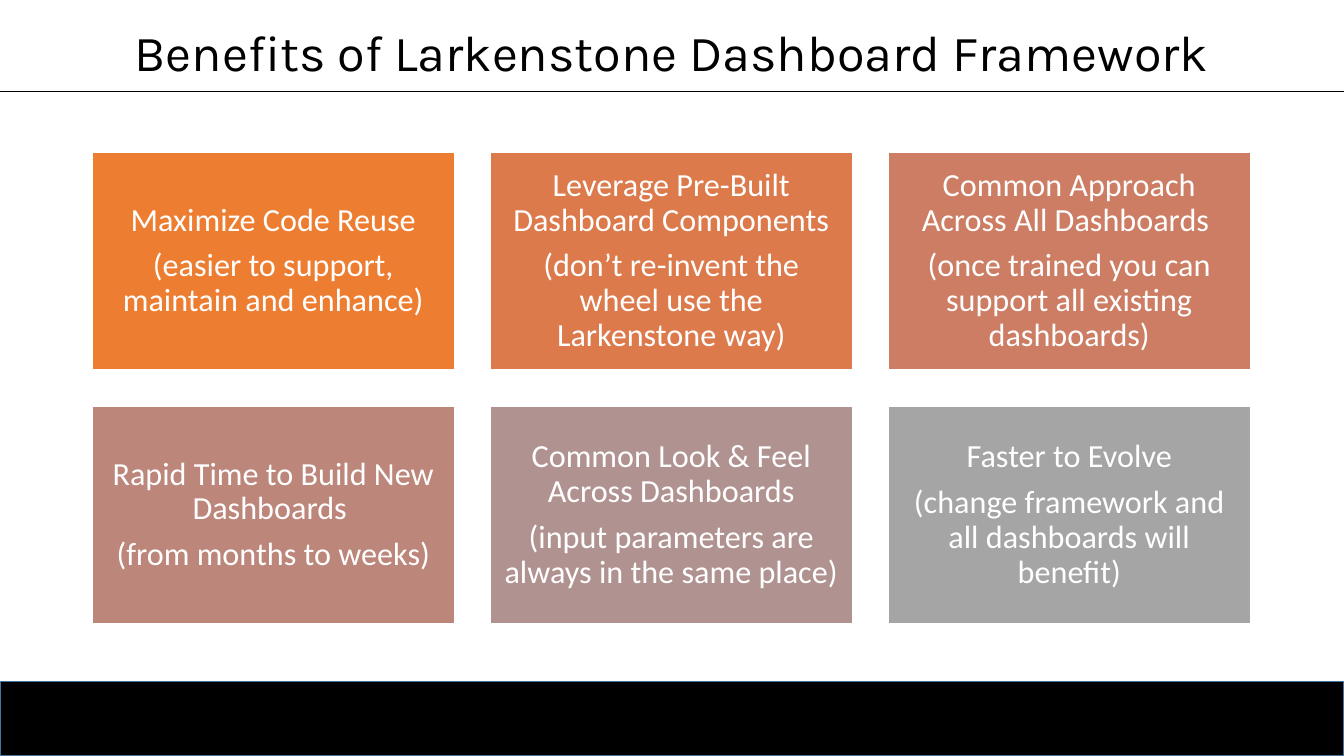
"""Build the slide on the benefits of a dashboard framework."""
from dataclasses import dataclass

from lxml import etree
from pptx import Presentation
from pptx import util as u
from pptx.dml.color import RGBColor
from pptx.enum import shapes, text
from pptx.oxml.ns import qn

EMU_PER_PX = 9525
SLIDE_WIDTH, SLIDE_HEIGHT = 1280, 720
MARGIN = 88
COLUMNS = 3
GRID_TOP = 145
CARD_WIDTH, CARD_HEIGHT = 345, 207
CARD_GAP_X, CARD_GAP_Y = 34, 35
CARD_INSET = 10
RULE_Y = 87
FOOTER_TOP = 649


@dataclass(frozen=True)
class Theme:
    ink: str = "000000"
    paper: str = "FFFFFF"
    footer_line: str = "43739E"
    title_font: str = "Karla"
    card_font: str = "Calibri"
    title_size: int = 36
    card_size: int = 23
    card_space_after: int = 8
    line_spacing: float = 0.9
    card_fills: tuple = ("ED7D31", "DC7A4B", "CC7D64", "BD867B", "B09391", "A5A5A5")


THEME = Theme()
TITLE = "Benefits of Larkenstone Dashboard Framework"
BENEFITS = [
    ("Maximize Code Reuse", "(easier to support, maintain and enhance)"),
    ("Leverage Pre-Built Dashboard Components",
     "(don’t re-invent the wheel use the Larkenstone way)"),
    ("Common Approach Across All Dashboards ",
     "(once trained you can support all existing dashboards)"),
    ("Rapid Time to Build New Dashboards ", "(from months to weeks)"),
    ("Common Look & Feel Across Dashboards",
     "(input parameters are always in the same place)"),
    ("Faster to Evolve", "(change framework and all dashboards will benefit)"),
]


def px(*lengths):
    return [u.Emu(length * EMU_PER_PX) for length in lengths]


def add_box(slide, box, fill, line):
    shape = slide.shapes.add_shape(shapes.MSO_SHAPE.RECTANGLE, *px(*box))
    shape.shadow.inherit = False
    shape.fill.solid()
    shape.fill.fore_color.rgb = RGBColor.from_string(fill)
    shape.line.color.rgb = RGBColor.from_string(line)
    shape.line.width = u.Pt(1)
    return shape


def write_centred(frame, lines, font, size, color, space_after=0):
    frame.word_wrap = True
    frame.vertical_anchor = text.MSO_ANCHOR.MIDDLE
    for index, line in enumerate(lines):
        paragraph = frame.add_paragraph() if index else frame.paragraphs[0]
        paragraph.alignment = text.PP_ALIGN.CENTER
        paragraph.line_spacing = THEME.line_spacing
        paragraph.space_after = u.Pt(space_after)
        run = paragraph.add_run()
        run.text = line
        run.font.name = font
        run.font.size = u.Pt(size)
        run.font.color.rgb = RGBColor.from_string(color)


def add_title(slide):
    title = slide.shapes.add_textbox(*px(MARGIN, 20, SLIDE_WIDTH - 2 * MARGIN, 65))
    write_centred(title.text_frame, [TITLE], THEME.title_font, THEME.title_size, THEME.ink)


def add_rule(slide):
    rule = slide.shapes.add_connector(
        shapes.MSO_CONNECTOR.STRAIGHT, *px(0, RULE_Y, SLIDE_WIDTH, RULE_Y))
    rule.line.color.rgb = RGBColor.from_string(THEME.ink)
    rule.line.width = u.Pt(0.5)
    etree.SubElement(rule.element.spPr, qn("a:effectLst"))


def add_card(slide, index, lines):
    row, column = divmod(index, COLUMNS)
    left = MARGIN + column * (CARD_WIDTH + CARD_GAP_X)
    top = GRID_TOP + row * (CARD_HEIGHT + CARD_GAP_Y)
    card = add_box(slide, (left, top, CARD_WIDTH, CARD_HEIGHT),
                   THEME.card_fills[index], THEME.paper)
    frame = card.text_frame
    frame.margin_left, frame.margin_top, frame.margin_right, frame.margin_bottom = px(
        *[CARD_INSET] * 4)
    write_centred(frame, lines, THEME.card_font, THEME.card_size, THEME.paper,
                  THEME.card_space_after)


def main():
    presentation = Presentation()
    presentation.slide_width, presentation.slide_height = px(SLIDE_WIDTH, SLIDE_HEIGHT)
    slide = presentation.slides.add_slide(presentation.slide_layouts[6])
    add_box(slide, (0, FOOTER_TOP, SLIDE_WIDTH, SLIDE_HEIGHT - FOOTER_TOP),
            THEME.ink, THEME.footer_line)
    add_rule(slide)
    add_title(slide)
    for index, lines in enumerate(BENEFITS):
        add_card(slide, index, lines)
    presentation.save("out.pptx")


if __name__ == "__main__":
    main()
